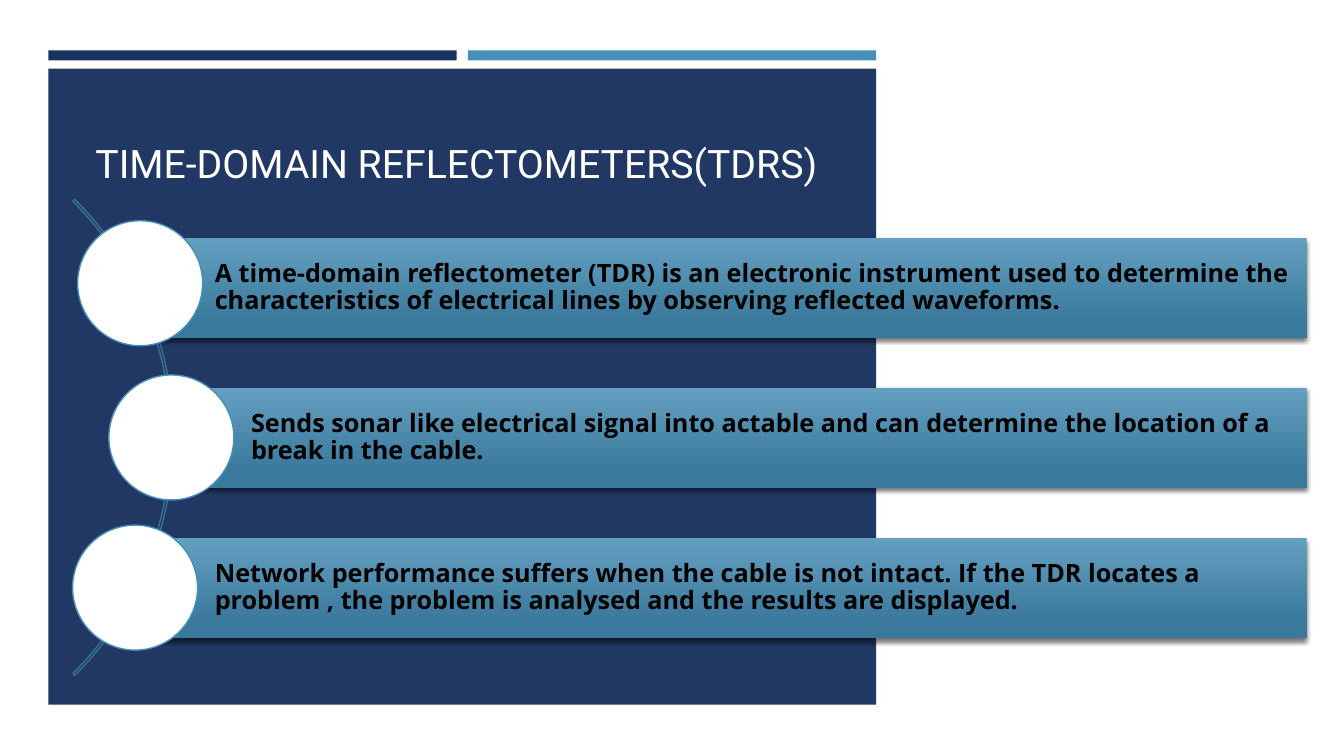
"""Build the slide on time-domain reflectometers."""
from lxml import etree
from pptx import Presentation
from pptx.dml.color import RGBColor
from pptx.enum.shapes import MSO_SHAPE
from pptx.enum.text import MSO_ANCHOR, MSO_AUTO_SIZE, PP_ALIGN
from pptx.oxml import parse_xml
from pptx.oxml.ns import nsdecls, qn
from pptx.util import Pt

RECTANGLE, OVAL, ARC = MSO_SHAPE.RECTANGLE, MSO_SHAPE.OVAL, MSO_SHAPE.BLOCK_ARC
MIDDLE, NO_AUTOFIT = MSO_ANCHOR.MIDDLE, MSO_AUTO_SIZE.NONE
LEFT, CENTER = PP_ALIGN.LEFT, PP_ALIGN.CENTER
PX = 9144
COLORS = {
    "navy": "1A3260", "blue": "4590B8", "arc": "377393", "bar top": "639FC1",
    "bar bottom": "3A799B", "white": "FFFFFF", "black": "000000",
}
BAR_TOP, BAR_STEP, BAR_RIGHT, BAR_HEIGHT = 236, 149, 1296, 99
CIRCLE_SIZE = 124
POINTS = [
    (134, 77, 219, "A time-domain reflectometer (TDR) is an electronic instrument used to "
     "determine the characteristics of electrical lines by observing reflected waveforms."),
    (170, 108, 372, "Sends sonar like electrical signal into actable and can determine the "
     "location of a break in the cable."),
    (134, 72, 521, "Network performance suffers when the cable is not intact. If the TDR locates "
     "a problem , the problem is analysed and the results are displayed."),
]


def add_box(kind, left, top, width, height, fill=None, line=None):
    box = slide.shapes.add_shape(kind, left * PX, top * PX, width * PX, height * PX)
    box.shadow.inherit = False
    if fill:
        box.fill.solid()
        box.fill.fore_color.rgb = RGBColor.from_string(COLORS[fill])
    else:
        box.fill.background()
    if line:
        box.line.color.rgb = RGBColor.from_string(COLORS[line])
        box.line.width = Pt(1)
    else:
        box.line.fill.background()
    return box


def write_text(box, text, font, size, color, bold=False, align=LEFT, spacing=1.0,
               insets=(5, 5, 5, 5)):
    frame = box.text_frame
    frame.word_wrap = True
    frame.auto_size = NO_AUTOFIT
    frame.vertical_anchor = MIDDLE
    frame.margin_left, frame.margin_top, frame.margin_right, frame.margin_bottom = (
        inset * PX for inset in insets)
    para = frame.paragraphs[0]
    para.alignment = align
    para.line_spacing = spacing
    span = para.add_run()
    span.text = text
    span.font.name = font
    span.font.size = Pt(size)
    span.font.bold = bold
    span.font.color.rgb = RGBColor.from_string(COLORS[color])


deck = Presentation()
deck.slide_width, deck.slide_height = 1333 * PX, 750 * PX
slide = deck.slides.add_slide(deck.slide_layouts[5])

panel = add_box(RECTANGLE, 48, 68, 821, 631, fill="navy")
panel_color = panel.fill._xPr.find(qn("a:solidFill"))[0]
etree.SubElement(panel_color, qn("a:alpha"), val="97000")
add_box(RECTANGLE, 48, 50, 405, 10, fill="navy")
add_box(RECTANGLE, 464, 50, 405, 10, fill="blue")

title = slide.shapes.title
slide.shapes._spTree.append(title._element)
title.left, title.top, title.width, title.height = 64 * PX, 77 * PX, 777 * PX, 123 * PX
write_text(title, "TIME-DOMAIN REFLECTOMETERS(TDRS)", "Roboto", 28, "white",
           align=CENTER, insets=(10, 52, 10, 5))

arc = add_box(ARC, -496, 100, 668, 668, line="arc")
for index, value in enumerate((189, 27, 0.004)):
    arc.adjustments[index] = value

for row, (bar_left, circle_left, circle_top, text) in enumerate(POINTS):
    bar = add_box(RECTANGLE, bar_left, BAR_TOP + row * BAR_STEP, BAR_RIGHT - bar_left, BAR_HEIGHT)
    bar.fill.gradient()
    bar.fill.gradient_angle = 270
    stops = zip(bar.fill.gradient_stops, (0, 0.84), ("bar top", "bar bottom"))
    for stop, position, color in stops:
        stop.position = position
        stop.color.rgb = RGBColor.from_string(COLORS[color])
    effects = bar._element.spPr.find(qn("a:effectLst"))
    effects.append(parse_xml(
        f'<a:outerShdw {nsdecls("a")} blurRad="{Pt(3)}" dist="{Pt(2)}" dir="5400000" '
        f'rotWithShape="0"><a:srgbClr val="{COLORS["black"]}"><a:alpha val="55000"/>'
        '</a:srgbClr></a:outerShdw>'))
    write_text(bar, text, "Open Sans", 18, "black", bold=True, spacing=0.9,
               insets=(79, 5, 5, 5))
    add_box(OVAL, circle_left, circle_top, CIRCLE_SIZE, CIRCLE_SIZE, fill="white", line="blue")

deck.save("out.pptx")
